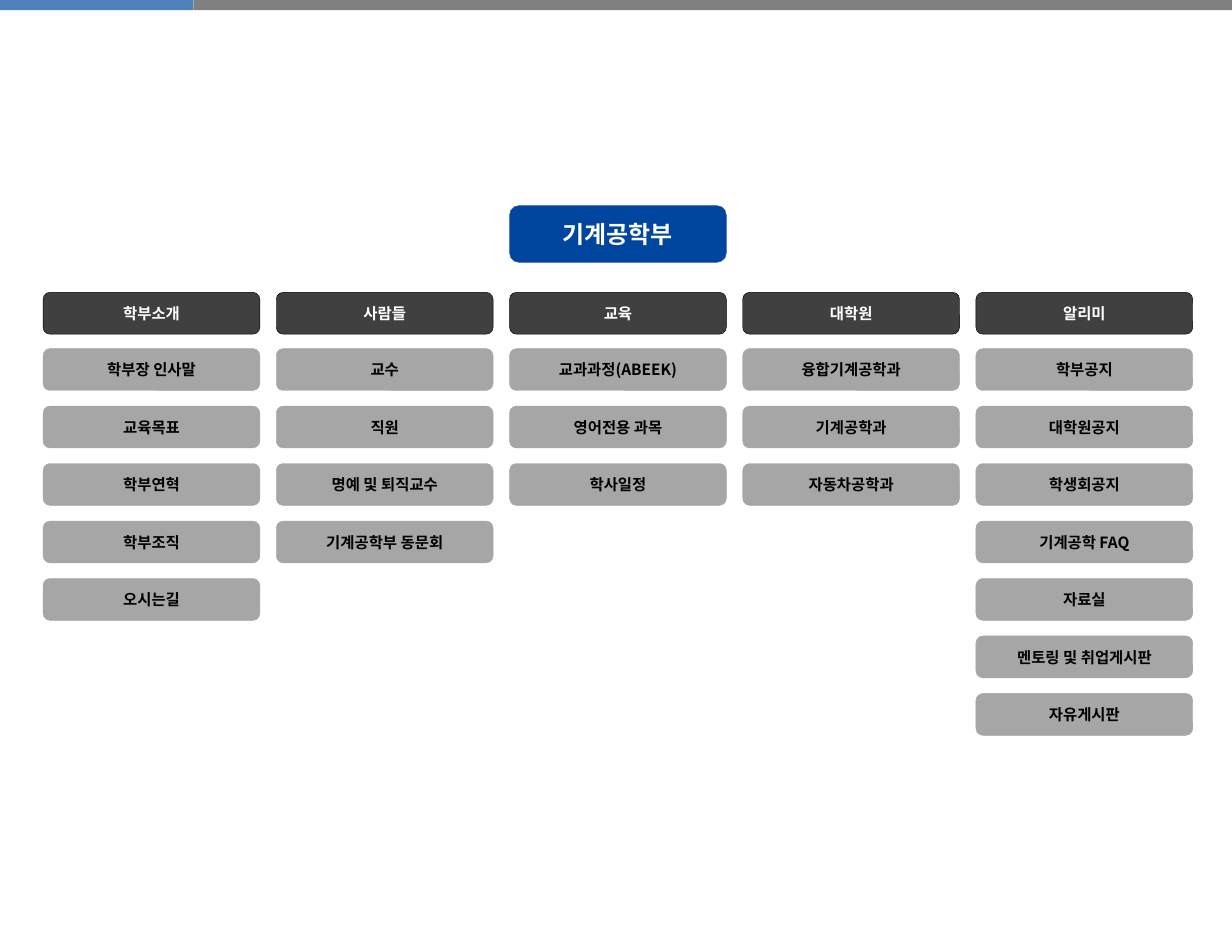
from dataclasses import dataclass

import pptx
import pptx.dml.color
import pptx.enum.shapes
import pptx.enum.text
import pptx.oxml.ns
import pptx.util
from lxml import etree

Pt = pptx.util.Pt
RGBColor = pptx.dml.color.RGBColor
MSO_SHAPE = pptx.enum.shapes.MSO_SHAPE

FONT = "Noto Sans CJK KR"
WHITE = RGBColor(0xFF, 0xFF, 0xFF)
BLACK = RGBColor(0x00, 0x00, 0x00)
BLUE = RGBColor(0x00, 0x46, 0x9E)
BLUE_EDGE = RGBColor(0x3A, 0x5F, 0x8C)
DARK = RGBColor(0x40, 0x40, 0x40)
GRAY = RGBColor(0xA6, 0xA6, 0xA6)
BAR_BLUE = RGBColor(0x4F, 0x81, 0xBD)
BAR_GRAY = RGBColor(0x80, 0x80, 0x80)

SLIDE_W, SLIDE_H = 720, 553
BAR_SPLIT, BAR_H = 113, 6
BOX_W, BOX_H, ROOT_H = 126.7, 24.5, 33.2
COLUMN_LEFT, COLUMN_STEP = 25.2, 136.3
ROOT_TOP, HEADER_TOP = 120.2, 170.9
ITEM_TOP, ITEM_STEP = 203.8, 33.6


@dataclass(frozen=True)
class BoxStyle:
    fill: RGBColor
    edge: RGBColor
    ink: RGBColor
    size: float
    height: float


@dataclass(frozen=True)
class Menu:
    header: str
    items: tuple[str, ...]


ROOT = BoxStyle(BLUE, BLUE_EDGE, WHITE, 14, ROOT_H)
HEADER = BoxStyle(DARK, BLACK, WHITE, 9, BOX_H)
ITEM = BoxStyle(GRAY, GRAY, BLACK, 9, BOX_H)

MENUS = (
    Menu("학부소개", ("학부장 인사말", "교육목표", "학부연혁", "학부조직", "오시는길")),
    Menu("사람들", ("교수", "직원", "명예 및 퇴직교수", "기계공학부 동문회")),
    Menu("교육", ("교과과정(ABEEK)", "영어전용 과목", "학사일정")),
    Menu("대학원", ("융합기계공학과", "기계공학과", "자동차공학과")),
    Menu("알리미", ("학부공지", "대학원공지", "학생회공지", "기계공학 FAQ",
                 "자료실", "멘토링 및 취업게시판", "자유게시판")),
)


def add_bar(s: pptx.slide.Slide, left: float, width: float, color: RGBColor) -> None:
    sp = s.shapes.add_shape(MSO_SHAPE.RECTANGLE, Pt(left), 0, Pt(width), Pt(BAR_H))
    sp.shadow.inherit = False
    sp.fill.solid()
    sp.fill.fore_color.rgb = color
    sp.line.fill.background()


def add_box(s: pptx.slide.Slide, left: float, top: float, text: str,
            style: BoxStyle) -> None:
    sp = s.shapes.add_shape(MSO_SHAPE.ROUNDED_RECTANGLE, Pt(left), Pt(top),
                            Pt(BOX_W), Pt(style.height))
    sp.shadow.inherit = False
    sp.fill.solid()
    sp.fill.fore_color.rgb = style.fill
    sp.line.color.rgb = style.edge
    sp.line.width = Pt(0.25)
    tf = sp.text_frame
    tf.word_wrap = True
    tf.vertical_anchor = pptx.enum.text.MSO_ANCHOR.MIDDLE
    tf.margin_top = tf.margin_bottom = 0
    p = tf.paragraphs[0]
    p.alignment = pptx.enum.text.PP_ALIGN.CENTER
    r = p.add_run()
    r.text = text
    r.font.size = Pt(style.size)
    r.font.bold = True
    r.font.color.rgb = style.ink
    r.font.name = FONT
    # Hangul takes its typeface from the East Asian font element.
    ea = etree.SubElement(r.font._element, pptx.oxml.ns.qn("a:ea"))
    ea.set("typeface", FONT)


def add_menu(s: pptx.slide.Slide, left: float, menu: Menu) -> None:
    add_box(s, left, HEADER_TOP, menu.header, HEADER)
    for row, item in enumerate(menu.items):
        add_box(s, left, ITEM_TOP + row * ITEM_STEP, item, ITEM)


def main() -> None:
    prs = pptx.Presentation()
    prs.slide_width, prs.slide_height = Pt(SLIDE_W), Pt(SLIDE_H)
    s = prs.slides.add_slide(prs.slide_layouts[6])
    add_bar(s, 0, BAR_SPLIT, BAR_BLUE)
    add_bar(s, BAR_SPLIT, SLIDE_W - BAR_SPLIT, BAR_GRAY)
    add_box(s, COLUMN_LEFT + 2 * COLUMN_STEP, ROOT_TOP, "기계공학부", ROOT)
    for column, menu in enumerate(MENUS):
        add_menu(s, COLUMN_LEFT + column * COLUMN_STEP, menu)
    prs.save("out.pptx")


if __name__ == "__main__":
    main()
